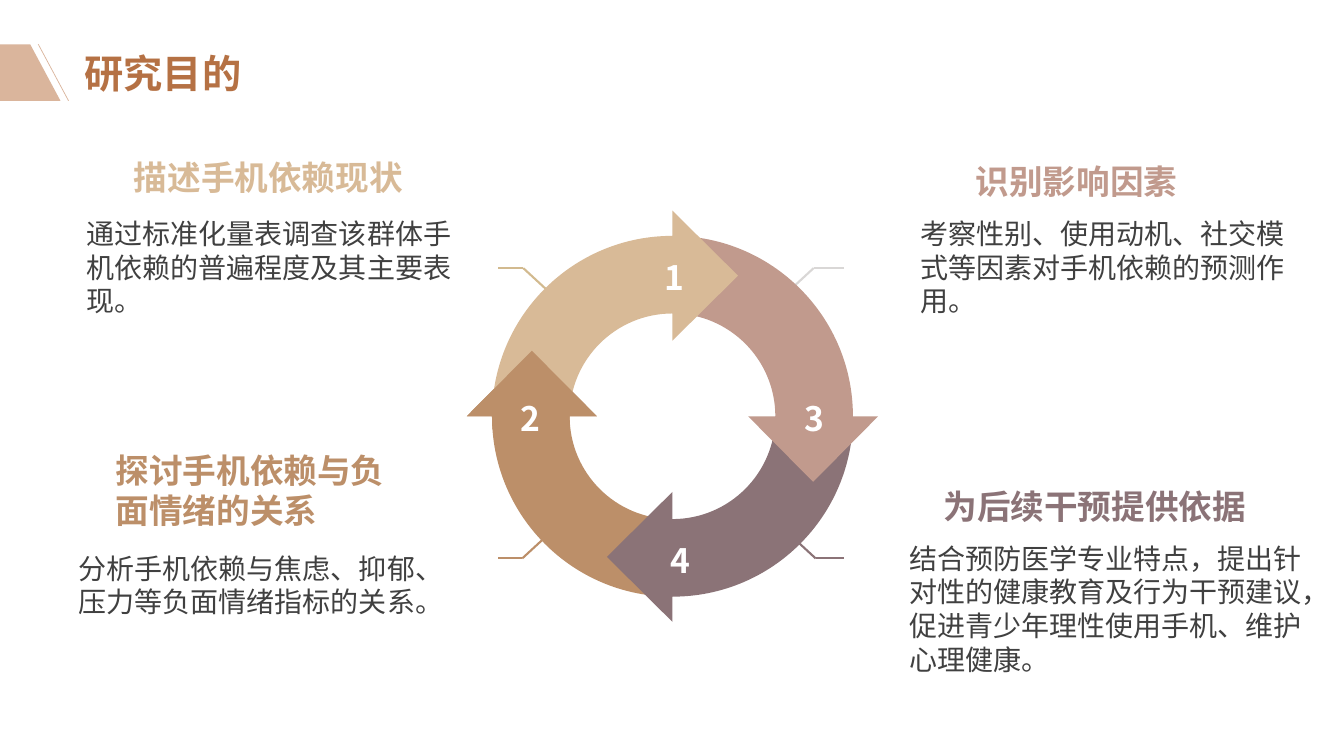
from math import cos, radians, sin, tan

from lxml.etree import SubElement
from pptx import Presentation
from pptx.dml.color import RGBColor
from pptx.enum.shapes import MSO_CONNECTOR
from pptx.enum.text import MSO_ANCHOR, MSO_AUTO_SIZE, PP_ALIGN
from pptx.oxml.ns import qn
from pptx.util import Emu, Pt

PX = 9144  # EMU per px, 100 px to the inch
NOTO = "Noto Sans CJK SC"
COLORS = {
    "sand": "D8BA97", "brown": "BC8F69", "rose": "C19A8D", "plum": "8B7377",
    "sand_line": "D2BA8F", "grey_line": "D9D7D6", "banner": "DAB59C",
    "title": "B57144", "body": "404040", "white": "FFFFFF",
}


def rgb(name):
    return RGBColor.from_string(COLORS[name])


def add_text(s, box, text, size, color, bold=False, align=PP_ALIGN.LEFT,
             font=NOTO, inset=True, wrap=True):
    tf = s.shapes.add_textbox(*(Emu(v * PX) for v in box)).text_frame
    tf.word_wrap = wrap
    tf.auto_size = MSO_AUTO_SIZE.SHAPE_TO_FIT_TEXT
    if not inset:
        tf.margin_left = tf.margin_right = tf.margin_top = tf.margin_bottom = 0
    p = tf.paragraphs[0]
    p.text = text
    p.alignment = align
    p.font.size = Pt(size)
    p.font.bold = bold
    p.font.name = font
    p.font.color.rgb = rgb(color)
    SubElement(p._p.pPr.find(qn("a:defRPr")), qn("a:ea"), typeface=NOTO)
    return tf


def add_line(s, start, end, color, width):
    line = s.shapes.add_connector(
        MSO_CONNECTOR.STRAIGHT, *(Emu(v * PX) for v in (*start, *end)))
    line.line.color.rgb = rgb(color)
    line.line.width = Pt(width)
    SubElement(line._element.spPr, qn("a:effectLst"))


def add_outline(s, points, color):
    points = [(round(x * PX), round(y * PX)) for x, y in points]
    builder = s.shapes.build_freeform(*points[0], scale=1.0)
    builder.add_line_segments(points[1:], close=True)
    sp = builder.convert_to_shape()
    sp.shadow.inherit = False
    sp.fill.solid()
    sp.fill.fore_color.rgb = rgb(color)
    sp.line.fill.background()
    return sp


def bend_segment(sp, segment, controls):
    """Turn a straight segment into a Bezier curve with two control points."""
    segment.tag = qn("a:cubicBezTo")
    for i, (x, y) in enumerate(controls):
        pt = segment.makeelement(qn("a:pt"), x=str(round(x * PX) - sp.left),
                                 y=str(round(y * PX) - sp.top))
        segment.insert(i, pt)


def add_ring_arrow(s, center, end, sweep, color):
    """Clockwise band of `sweep` degrees, with its head based at angle `end`."""
    cx, cy = center
    outer, inner, head_outer, head_inner, tip = 179, 102, 204, 75, 65
    mid = (head_outer + head_inner) / 2
    start = end - sweep

    def polar(radius, angle, forward=0):
        a = radians(angle)
        return (cx + radius * cos(a) - forward * sin(a),
                cy + radius * sin(a) + forward * cos(a))

    def controls(radius):
        pull = radius * 4 / 3 * tan(radians(sweep) / 4)
        return polar(radius, start, pull), polar(radius, end, -pull)

    sp = add_outline(s, [
        polar(outer, start), polar(outer, end), polar(head_outer, end),
        polar(mid, end, tip), polar(head_inner, end), polar(inner, end),
        polar(inner, start)], color)
    segments = list(sp._element.spPr.iter(qn("a:lnTo")))
    bend_segment(sp, segments[0], controls(outer))
    bend_segment(sp, segments[5], reversed(controls(inner)))


def add_cycle(s, box):
    left, top, width, height = box
    center = cx, cy = left + width // 2, top + height // 2
    # Leader lines: side, start offset, direction, length of the flat part
    for side, dx, dy, up, flat, color in (
            (-1, 122, -123, -1, 25, "sand_line"),
            (1, 114, -123, -1, 30, "grey_line"),
            (-1, 123, 117, 1, 24, "brown"),
            (1, 116, 117, 1, 28, "plum")):
        inner = cx + side * dx, cy + dy
        bend = inner[0] + side * 26, inner[1] + up * 24
        add_line(s, inner, bend, color, 1.5)
        add_line(s, bend, (bend[0] + side * flat, bend[1]), color, 1.5)
    # Arrows from back to front; a short one laps the head over the sand band
    for end, sweep, color in ((180, 90, "brown"), (90, 90, "plum"),
                              (0, 90, "rose"), (-90, 90, "sand"),
                              (180, 4, "brown")):
        add_ring_arrow(s, center, end, sweep, color)
    # Numbers
    for text, dx, dy in (("1", -9, -162), ("2", -151, -22),
                         ("3", 130, -22), ("4", -3, 119)):
        tf = add_text(s, (cx + dx, cy + dy, 21, 44), text, 24, "white", True,
                      PP_ALIGN.CENTER, inset=False, wrap=False)
        tf.vertical_anchor = MSO_ANCHOR.BOTTOM
        tf.paragraphs[0].line_spacing = 1.2


def add_header(s, box):
    left, top, width, height = box
    bottom = top + height
    add_outline(s, [(left + 30, top), (left + 60, bottom), (left, bottom),
                    (left, top)], "banner")
    add_line(s, (left + 38, top), (left + 68, bottom), "banner", 0.5)
    add_text(s, (left + 84, top + 5, width - 84, 47), "研究目的", 28, "title",
             True, PP_ALIGN.JUSTIFY, "Arial", inset=False)


def add_purpose(s, box, head_box, color, heading, body,
                align=PP_ALIGN.JUSTIFY):
    """Body text fills the box; head_box is relative to its corner."""
    left, top, _, _ = box
    dx, dy, width, height = head_box
    add_text(s, (left + dx, top + dy, width, height), heading, 24, color, True,
             align)
    add_text(s, box, body, 20, "body")


def main():
    prs = Presentation()
    prs.slide_width, prs.slide_height = Emu(1333 * PX), Emu(750 * PX)
    s = prs.slides.add_slide(prs.slide_layouts[6])
    add_cycle(s, (462, 209, 410, 408))
    add_header(s, (0, 44, 286, 56))
    add_purpose(s, (76, 210, 383, 111), (47, -59, 289, 50), "sand",
                "描述手机依赖现状",
                "通过标准化量表调查该群体手机依赖的普遍程度及其主要表现。")
    add_purpose(s, (68, 542, 391, 77), (37, -101, 300, 91), "brown",
                "探讨手机依赖与负面情绪的关系",
                "分析手机依赖与焦虑、抑郁、压力等负面情绪指标的关系。",
                PP_ALIGN.LEFT)
    add_purpose(s, (903, 210, 391, 111), (55, -55, 234, 50), "rose",
                "识别影响因素",
                "考察性别、使用动机、社交模式等因素对手机依赖的预测作用。")
    add_purpose(s, (892, 532, 410, 145), (34, -55, 321, 50), "plum",
                "为后续干预提供依据",
                "结合预防医学专业特点，提出针对性的健康教育及行为干预建议，"
                "促进青少年理性使用手机、维护心理健康。")
    prs.save("out.pptx")


if __name__ == "__main__":
    main()
